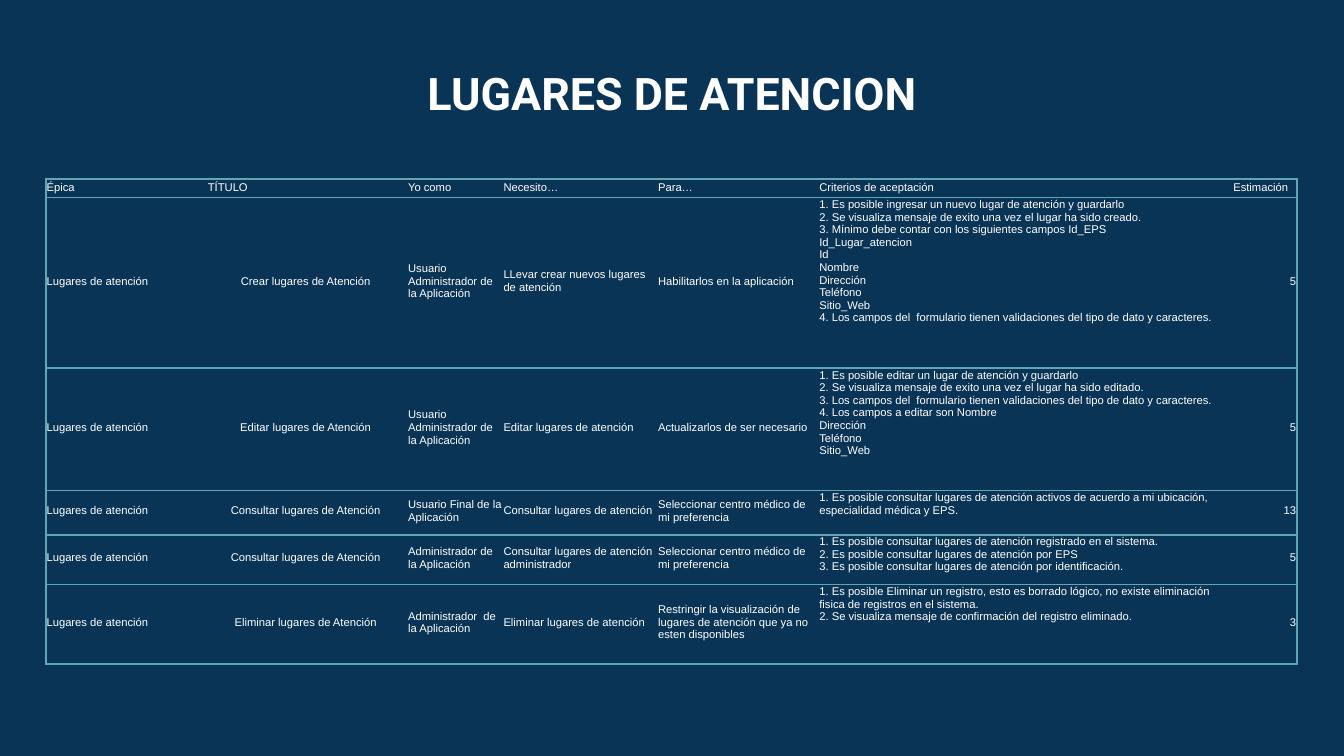
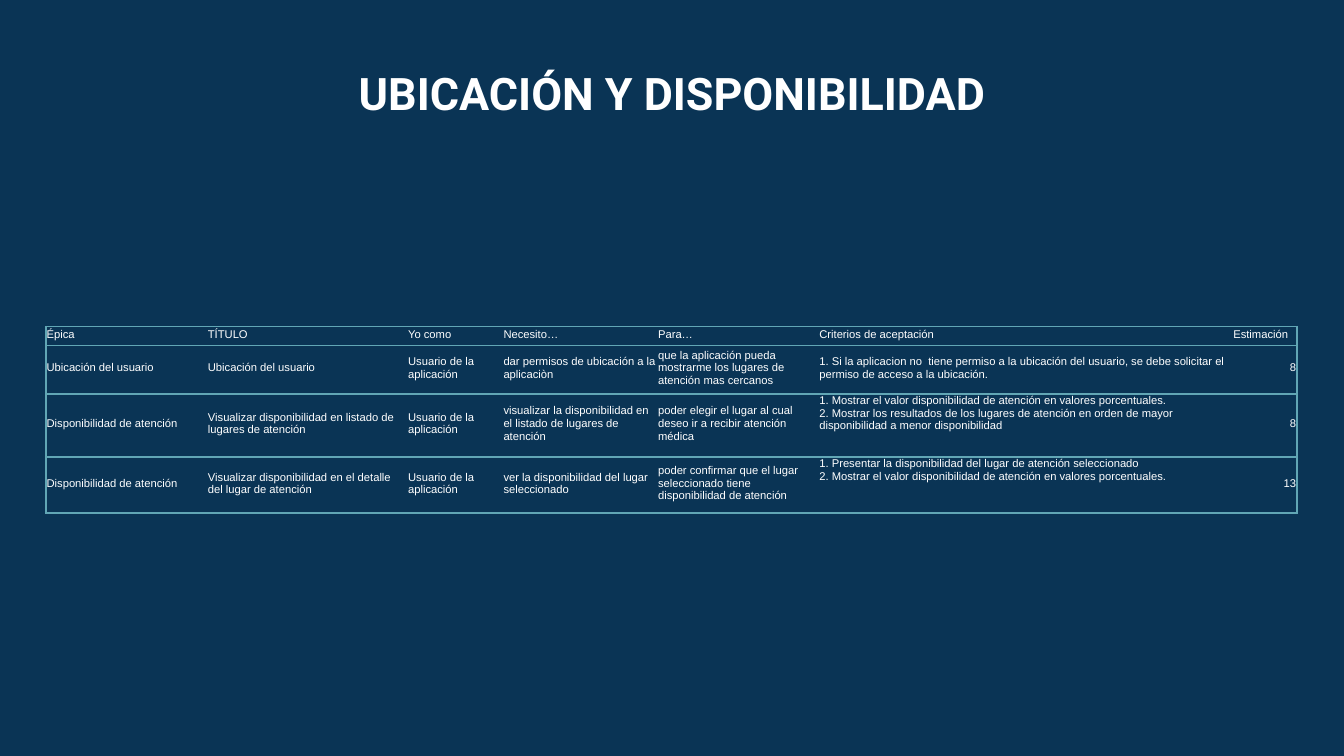
"""Builds two slides of user stories, each a title over a bordered table."""
from copy import deepcopy
from dataclasses import dataclass

from lxml.etree import SubElement
from pptx import Presentation
from pptx.dml.color import RGBColor as Color
from pptx.enum.text import MSO_ANCHOR as Anchor, PP_ALIGN as Align
from pptx.oxml.ns import qn
from pptx.util import Inches, Pt

HEADERS = ("Épica", "TÍTULO", "Yo como", "Necesito…", "Para…", "Criterios de aceptación", "Estimación")
PLACES, AVAILABILITY = "Lugares de atención", "Disponibilidad de atención"
ADMIN, USER = "Usuario Administrador de la Aplicación", "Usuario de la aplicación"
PREFERENCE = "Seleccionar centro médico de mi preferencia"

PAGES = [
    {
        "title": "LUGARES DE ATENCION",
        "top": 1.33,
        "heights": (0.14, 1.27, 0.91, 0.33, 0.37, 0.59),
        "story_align": Align.CENTER,
        "middle_criteria": (),
        "stories": [
            (PLACES, "Crear lugares de Atención ", ADMIN, "LLevar crear nuevos lugares de atención",
             "Habilitarlos en la aplicación",
             "1. Es posible ingresar un nuevo lugar de atención y guardarlo\n"
             "2. Se visualiza mensaje de exito una vez el lugar ha sido creado.\n"
             "3. Mínimo debe contar con los siguientes campos Id_EPS\n"
             "Id_Lugar_atencion\nId\nNombre\nDirección\nTeléfono\nSitio_Web\n"
             "4. Los campos del  formulario tienen validaciones del tipo de dato y caracteres.", "5"),
            (PLACES, "Editar lugares de Atención ", ADMIN, "Editar lugares de atención",
             "Actualizarlos de ser necesario",
             "1. Es posible editar un lugar de atención y guardarlo\n"
             "2. Se visualiza mensaje de exito una vez el lugar ha sido editado.\n"
             "3. Los campos del  formulario tienen validaciones del tipo de dato y caracteres.\n"
             "4. Los campos a editar son Nombre\nDirección\nTeléfono\nSitio_Web", "5"),
            (PLACES, "Consultar lugares de Atención ", "Usuario Final de la Aplicación",
             "Consultar lugares de atención", PREFERENCE,
             "1. Es posible consultar lugares de atención activos de acuerdo a mi ubicación, "
             "especialidad médica y EPS.", "13"),
            (PLACES, "Consultar lugares de Atención ", "Administrador de la Aplicación",
             "Consultar lugares de atención administrador", PREFERENCE,
             "1. Es posible consultar lugares de atención registrado en el sistema.\n"
             "2. Es posible consultar lugares de atención por EPS\n"
             "3. Es posible consultar lugares de atención por identificación.", "5"),
            (PLACES, "Eliminar lugares de Atención ", "Administrador  de la Aplicación",
             "Eliminar lugares de atención",
             "Restringir la visualización de lugares de atención que ya no esten disponibles",
             "1. Es posible Eliminar un registro, esto es borrado lógico, no existe eliminación "
             "fisica de registros en el sistema.\n"
             "2. Se visualiza mensaje de confirmación del registro eliminado.", "3"),
        ],
    },
    {
        "title": "UBICACIÓN Y DISPONIBILIDAD",
        "top": 2.43,
        "heights": (0.14, 0.36, 0.47, 0.42),
        "story_align": Align.LEFT,
        "middle_criteria": (1,),
        "stories": [
            ("Ubicación del usuario", "Ubicación del usuario", USER,
             "dar permisos de ubicación a la aplicaciòn",
             "que la aplicación pueda mostrarme los lugares de atención mas cercanos",
             "1. Si la aplicacion no  tiene permiso a la ubicación del usuario, se debe solicitar el "
             "permiso de acceso a la ubicación.", "8"),
            (AVAILABILITY, "Visualizar disponibilidad en listado de lugares de atención", USER,
             "visualizar la disponibilidad en el listado de lugares de atención",
             "poder elegir el lugar al cual deseo ir a recibir atención médica",
             "1. Mostrar el valor disponibilidad de atención en valores porcentuales.\n"
             "2. Mostrar los resultados de los lugares de atención en orden de mayor disponibilidad "
             "a menor disponibilidad", "8"),
            (AVAILABILITY, "Visualizar disponibilidad en el detalle del lugar de atención", USER,
             "ver la disponibilidad del lugar seleccionado",
             "poder confirmar que el lugar seleccionado tiene disponibilidad de atención",
             "1. Presentar la disponibilidad del lugar de atención seleccionado\n"
             "2. Mostrar el valor disponibilidad de atención en valores porcentuales.", "13"),
        ],
    },
]


@dataclass(frozen=True)
class Theme:
    """Colours, type and measures shared by the slides."""
    navy: str = "0A3455"
    teal: str = "61A6B5"
    white: str = "FFFFFF"
    title_font: str = "Roboto"
    title_size: int = 24
    body_font: str = "Arial"
    body_size: int = 6
    border: int = 1
    width: float = 10
    height: float = 10 * 9 / 16
    title_box: tuple = (2.15, 0.39, 5.7, 1.03)
    table_left: float = 0.34
    columns: tuple = (1.2, 1.49, 0.71, 1.15, 1.2, 3.08, 0.48)


THEME = Theme()
STORY, CRITERIA, ESTIMATE = 1, 5, 6
TITLE_FORMAT = {"name": THEME.title_font, "size": Pt(THEME.title_size), "bold": True}
BODY_FORMAT = {"name": THEME.body_font, "size": Pt(THEME.body_size), "bold": False}
TITLE_FRAME = dict.fromkeys(("margin_left", "margin_top", "margin_right", "margin_bottom"), Inches(0.1))
CELL_FRAME = {**dict.fromkeys(TITLE_FRAME, Pt(0.5)), "margin_bottom": Inches(0.03)}


def apply(target, values):
    """Set every attribute named in a dict of format values."""
    for name, value in values.items():
        setattr(target, name, value)


def paint(fill, color):
    """Give a fill one solid colour."""
    fill.solid()
    fill.fore_color.rgb = Color.from_string(color)


def write(frame, text, style, align):
    """Write one styled paragraph, line breaks included."""
    para = frame.paragraphs[0]
    para.text = text
    para.alignment = align
    for span in para.runs:
        apply(span.font, style)
        paint(span.font.fill, THEME.white)
    for line_break in para._p.iter(qn("a:br")):
        line_break.append(deepcopy(para.runs[0]._r.rPr))


def draw_borders(cell, column):
    """Rule the top and bottom of a cell, and the outer sides of the table."""
    shown = {"L": column == 0, "R": column == len(HEADERS) - 1, "T": True, "B": True}
    props = cell._tc.get_or_add_tcPr()
    for side, visible in shown.items():
        line = SubElement(props, qn(f"a:ln{side}"), w=str(Pt(THEME.border)))
        if visible:
            solid = SubElement(line, qn("a:solidFill"))
            SubElement(solid, qn("a:srgbClr"), val=THEME.teal)
        else:
            SubElement(line, qn("a:noFill"))


def cell_layout(row, column, content):
    """Return the anchor and alignment that a cell takes from its place."""
    if row == 0:
        return Anchor.BOTTOM, Align.LEFT
    top = column == CRITERIA and row not in content["middle_criteria"]
    aligns = {STORY: content["story_align"], ESTIMATE: Align.RIGHT}
    return Anchor.TOP if top else Anchor.MIDDLE, aligns.get(column, Align.LEFT)


def add_title(page, text):
    """Place and style the slide title."""
    box = page.shapes.title
    apply(box, dict(zip(("left", "top", "width", "height"), map(Inches, THEME.title_box))))
    apply(box.text_frame, {**TITLE_FRAME, "vertical_anchor": Anchor.TOP, "word_wrap": True})
    write(box.text_frame, text, TITLE_FORMAT, Align.CENTER)


def add_stories(page, content):
    """Add the table of user stories."""
    rows = [HEADERS, *content["stories"]]
    area = (THEME.table_left, content["top"], sum(THEME.columns), sum(content["heights"]))
    table = page.shapes.add_table(len(rows), len(HEADERS), *map(Inches, area)).table
    apply(table, {"first_row": False, "horz_banding": False})
    for column, width in zip(table.columns, THEME.columns):
        column.width = Inches(width)
    for row, height in zip(table.rows, content["heights"]):
        row.height = Inches(height)
    for row, texts in enumerate(rows):
        for column, text in enumerate(texts):
            cell = table.cell(row, column)
            anchor, align = cell_layout(row, column, content)
            draw_borders(cell, column)
            paint(cell.fill, THEME.navy)
            apply(cell, {**CELL_FRAME, "vertical_anchor": anchor})
            write(cell.text_frame, text, BODY_FORMAT, align)


def main():
    """Build and save the deck."""
    deck = Presentation()
    apply(deck, {"slide_width": Inches(THEME.width), "slide_height": Inches(THEME.height)})
    paint(deck.slide_master.background.fill, THEME.navy)
    for content in PAGES:
        page = deck.slides.add_slide(deck.slide_layouts.get_by_name("Title Only"))
        add_title(page, content["title"])
        add_stories(page, content)
    deck.save("out.pptx")


if __name__ == "__main__":
    main()
